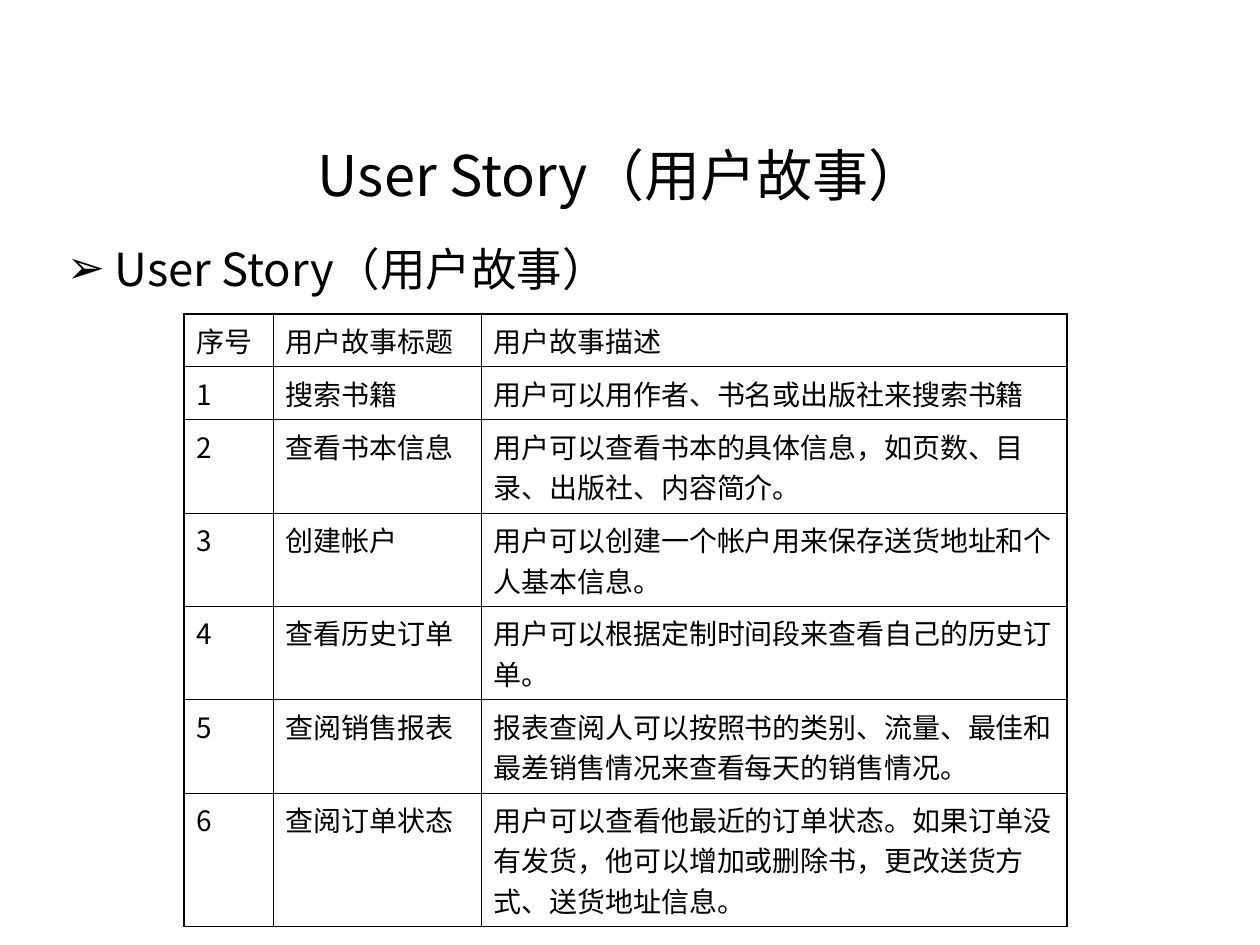
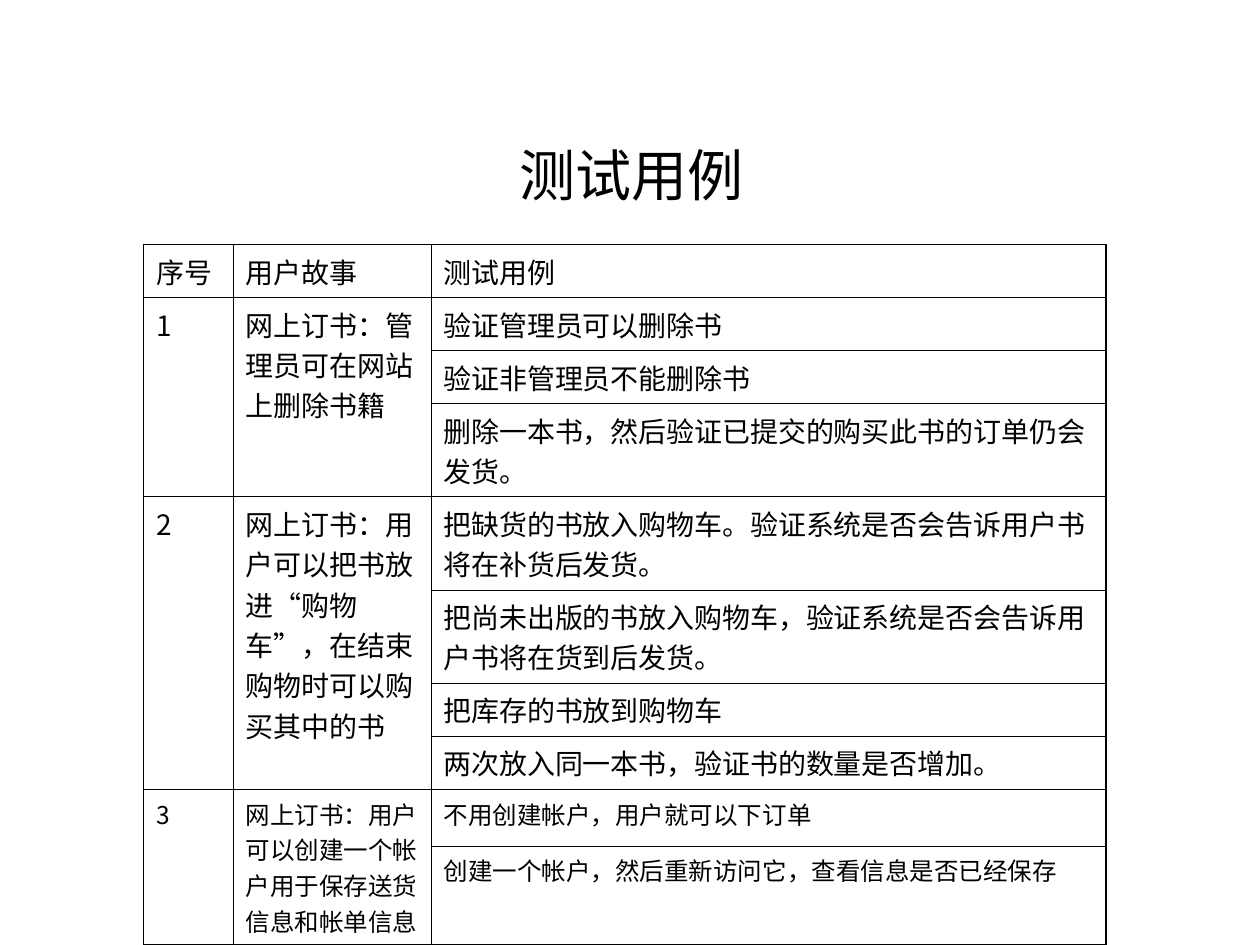
from dataclasses import dataclass

from lxml import etree
from pptx import Presentation
from pptx import util as u
from pptx.dml.color import RGBColor
from pptx.enum import lang, text
from pptx.oxml import ns


@dataclass(frozen=True)
class Theme:
    ink: str = "000000"
    paper: str = "FFFFFF"
    cjk: str = "Noto Sans CJK SC"
    latin: str = "Arial"
    title: float = 32
    bullet: float = 26
    cell: float = 16
    small_cell: float = 14
    outer_line: float = 1.08
    inner_line: float = 0.45


THEME = Theme()

STORIES = [
    ("序号", "用户故事标题", "用户故事描述"),
    ("1", "搜索书籍", "用户可以用作者、书名或出版社来搜索书籍"),
    ("2", "查看书本信息", "用户可以查看书本的具体信息，如页数、目录、出版社、内容简介。"),
    ("3", "创建帐户", "用户可以创建一个帐户用来保存送货地址和个人基本信息。"),
    ("4", "查看历史订单", "用户可以根据定制时间段来查看自己的历史订单。"),
    ("5", "查阅销售报表", "报表查阅人可以按照书的类别、流量、最佳和最差销售情况来查看每天的销售情况。"),
    ("6", "查阅订单状态",
     "用户可以查看他最近的订单状态。如果订单没有发货，他可以增加或删除书，更改送货方式、送货地址信息。"),
]

TEST_HEADER = ("序号", "用户故事", "测试用例")
TEST_GROUPS = [
    ("网上订书：管理员可在网站上删除书籍", THEME.cell, [
        "验证管理员可以删除书",
        "验证非管理员不能删除书",
        "删除一本书，然后验证已提交的购买此书的订单仍会发货。",
    ]),
    ("网上订书：用户可以把书放进“购物车”，在结束购物时可以购买其中的书", THEME.cell, [
        "把缺货的书放入购物车。验证系统是否会告诉用户书将在补货后发货。",
        "把尚未出版的书放入购物车，验证系统是否会告诉用户书将在货到后发货。",
        "把库存的书放到购物车",
        "两次放入同一本书，验证书的数量是否增加。",
    ]),
    ("网上订书：用户可以创建一个帐户用于保存送货信息和帐单信息", THEME.small_cell, [
        "不用创建帐户，用户就可以下订单",
        "创建一个帐户，然后重新访问它，查看信息是否已经保存",
    ]),
]


def write(frame, words, size, latin):
    """Fill a text frame with one paragraph, punctuation kept inside the margins."""
    frame.text = words
    para = frame.paragraphs[0]
    para.space_before = u.Pt(0)
    para._p.get_or_add_pPr().set("hangingPunct", "0")
    for span in para.runs:
        span.font.size = u.Pt(size)
        span.font.name = latin
        span.font.color.rgb = RGBColor.from_string(THEME.ink)
        span.font.language_id = lang.MSO_LANGUAGE_ID.SIMPLIFIED_CHINESE
        east_asian = etree.SubElement(span.font._element, ns.qn("a:ea"))
        east_asian.set("typeface", THEME.cjk)
    return para


def place(shape, left, top, width, height):
    shape.left, shape.top = u.Inches(left), u.Inches(top)
    shape.width, shape.height = u.Inches(width), u.Inches(height)


def add_page(deck, layout_name, title, left, latin):
    page = deck.slides.add_slide(deck.slide_layouts.get_by_name(layout_name))
    page.background.fill.solid()
    page.background.fill.fore_color.rgb = RGBColor.from_string(THEME.paper)
    box = page.shapes.title
    place(box, left, 0.99, 9, 0.79)
    box.text_frame.auto_size = text.MSO_AUTO_SIZE.NONE
    box.text_frame.vertical_anchor = text.MSO_ANCHOR.MIDDLE
    para = write(box.text_frame, title, THEME.title, latin)
    para.alignment = text.PP_ALIGN.CENTER
    return page


def fill_bullet(page, words):
    box = page.placeholders[1]
    place(box, 0.43, 1.86, 9, 4.41)
    box.text_frame.auto_size = text.MSO_AUTO_SIZE.NONE
    para = write(box.text_frame, words, THEME.bullet, THEME.cjk)
    props = para._p.get_or_add_pPr()
    props.set("marL", str(u.Inches(0.38)))
    props.set("indent", str(-u.Inches(0.38)))
    etree.SubElement(props, ns.qn("a:buChar")).set("char", "➢")


def draw_borders(cell, edges):
    """Draw cell borders; edges maps L, R, T and B to whether it is a table edge."""
    props = cell._tc.get_or_add_tcPr()
    for side, is_outer in edges.items():
        width = THEME.outer_line if is_outer else THEME.inner_line
        line = etree.SubElement(props, ns.qn(f"a:ln{side}"), w=str(u.Pt(width)))
        fill = etree.SubElement(line, ns.qn("a:solidFill"))
        etree.SubElement(fill, ns.qn("a:srgbClr"), val=THEME.ink)


def add_grid(page, left, top, widths, heights):
    frame = page.shapes.add_table(
        len(heights), len(widths), u.Inches(left), u.Inches(top),
        u.Inches(sum(widths)), u.Inches(sum(heights)))
    table = frame.table
    table.first_row = table.horz_banding = False
    for column, width in zip(table.columns, widths):
        column.width = u.Inches(width)
    for row, height in zip(table.rows, heights):
        row.height = u.Inches(height)
    return table


def finish_grid(table):
    """Border every visible cell, heavier around the table, and clear all fills."""
    row_count, column_count = len(table.rows), len(table.columns)
    for row in range(row_count):
        for column in range(column_count):
            cell = table.cell(row, column)
            if not cell.is_spanned:
                draw_borders(cell, {
                    "L": column == 0,
                    "R": column + cell.span_width == column_count,
                    "T": row == 0,
                    "B": row + cell.span_height == row_count,
                })
            cell.fill.background()


def write_row(table, row, words, latin, size=THEME.cell):
    for column, entry in enumerate(words):
        font = THEME.cjk if entry.isdigit() else latin
        write(table.cell(row, column).text_frame, entry, size, font)


def add_story_table(page):
    table = add_grid(page, 1.46, 2.49, [0.71, 1.65, 4.65],
                     [0.39] * 2 + [0.64] * 4 + [0.9])
    for row, story in enumerate(STORIES):
        write_row(table, row, story, THEME.cjk)
    finish_grid(table)


def add_test_table(page):
    table = add_grid(page, 1.14, 1.94, [0.71, 1.57, 5.36],
                     [0.39, 0.39, 0.37, 0.64, 0.64, 0.64, 0.37, 0.37, 0.45, 0.58])
    write_row(table, 0, TEST_HEADER, THEME.latin)
    first = 1
    for number, (story, size, tests) in enumerate(TEST_GROUPS, start=1):
        last = first + len(tests) - 1
        for column in (0, 1):
            table.cell(first, column).merge(table.cell(last, column))
        write_row(table, first, (str(number), story), THEME.latin, size)
        for row, test in enumerate(tests, start=first):
            write(table.cell(row, 2).text_frame, test, size, THEME.latin)
        first = last + 1
    finish_grid(table)


def main():
    deck = Presentation()
    deck.slide_width, deck.slide_height = u.Inches(10), u.Inches(7.5)

    heading = "User Story（用户故事）"
    stories = add_page(deck, "Title and Content", heading, 0.43, THEME.cjk)
    fill_bullet(stories, heading)
    add_story_table(stories)

    tests = add_page(deck, "Title Only", "测试用例", 0.51, THEME.latin)
    add_test_table(tests)

    deck.save("out.pptx")


if __name__ == "__main__":
    main()
